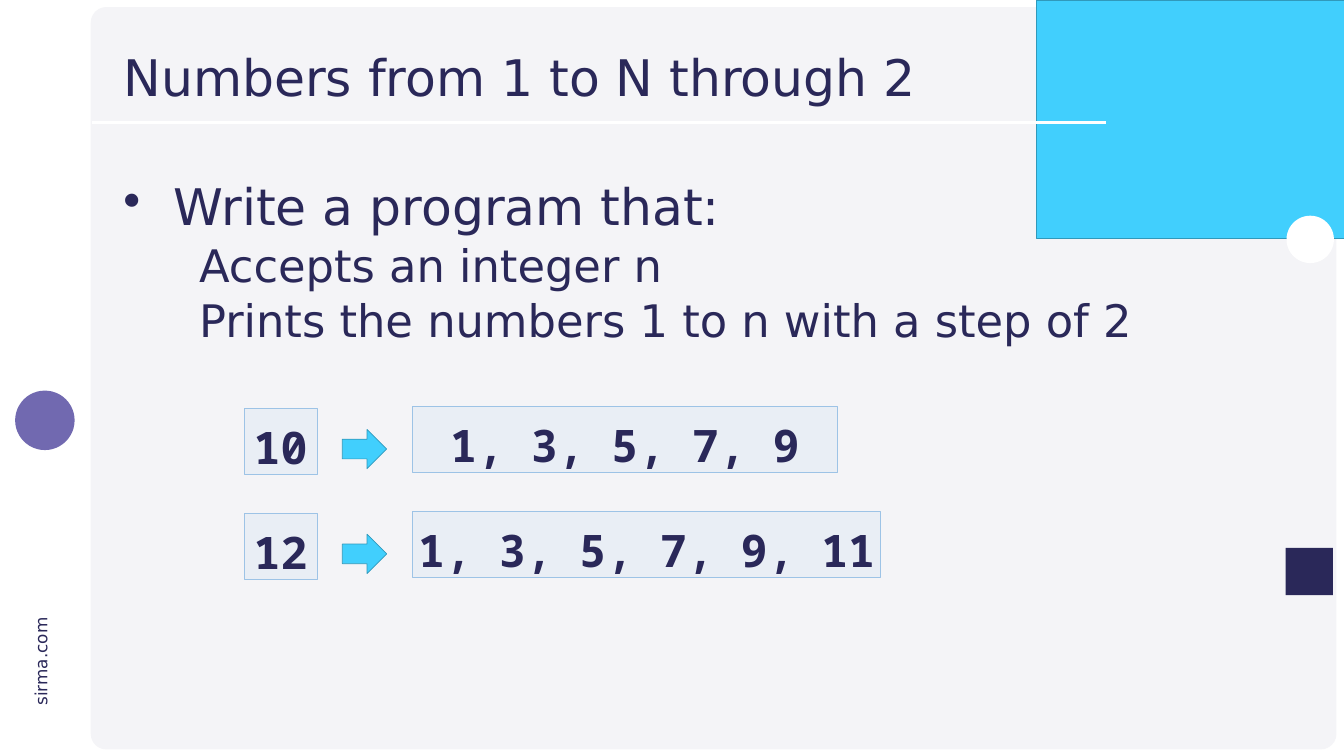
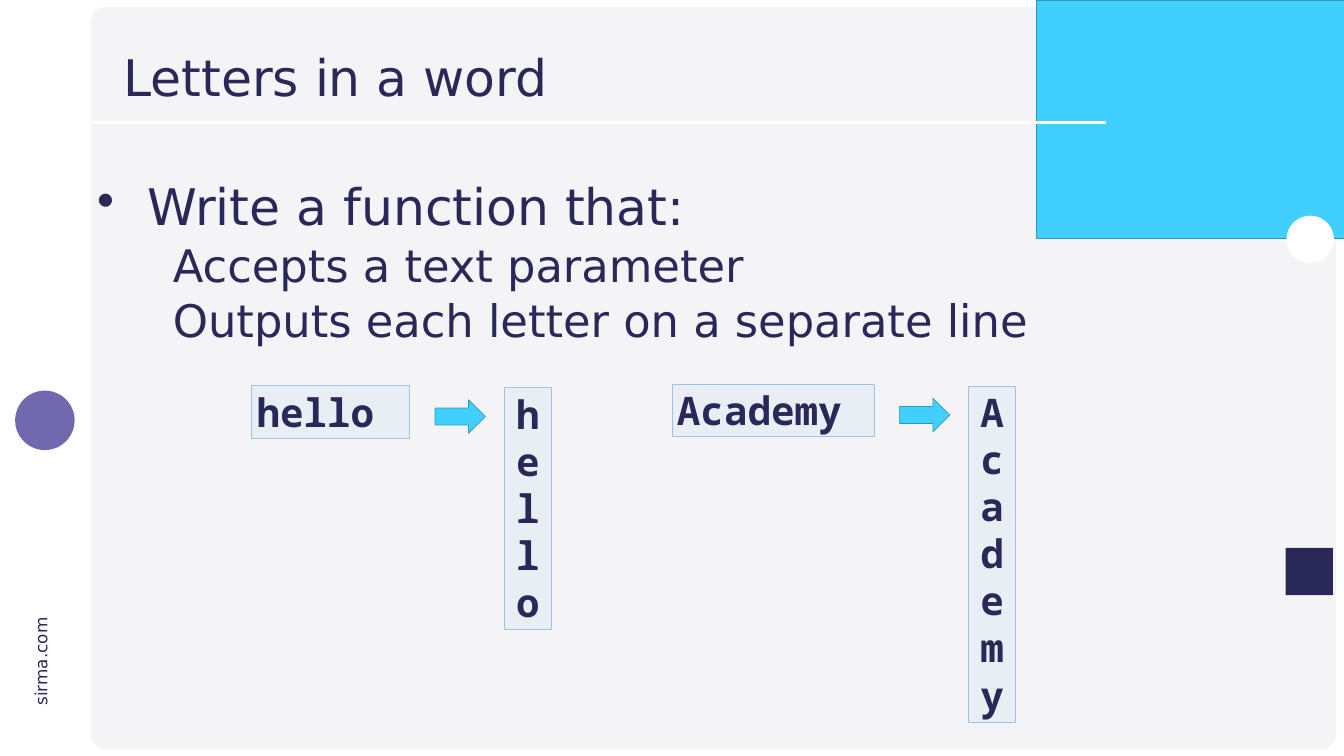
from lxml import etree
from pptx import Presentation
from pptx import util as u
from pptx.dml.color import RGBColor
from pptx.enum import shapes, text
from pptx.oxml import ns

NAVY = RGBColor(0x2A, 0x28, 0x59)
CYAN = RGBColor(0x41, 0xCF, 0xFD)
DARK_CYAN = RGBColor(0x30, 0x99, 0xBB)
PURPLE = RGBColor(0x71, 0x69, 0xB0)
PALE_GREY = RGBColor(0xF4, 0xF4, 0xF7)
WHITE = RGBColor(0xFF, 0xFF, 0xFF)
PALE_BLUE = RGBColor(0xBD, 0xD7, 0xEE)
BORDER_BLUE = RGBColor(0x9D, 0xC3, 0xE6)
SANS = "DejaVu Sans"
MONO = "Noto Sans Mono"
KIND = shapes.MSO_SHAPE


def add_figure(slide, kind, left, top, width, height, fill, line=None):
    """Add a flat preset shape with an optional one-point outline."""
    shape = slide.shapes.add_shape(
        kind, u.Inches(left), u.Inches(top), u.Inches(width), u.Inches(height))
    shape.shadow.inherit = False
    shape.fill.solid()
    shape.fill.fore_color.rgb = fill
    if line is None:
        shape.line.fill.background()
    else:
        shape.line.color.rgb = line
        shape.line.width = u.Pt(1)
    return shape


def format_paragraph(paragraph, size, font=SANS, bold=False):
    """Give the runs of a paragraph their font."""
    for run in paragraph.runs:
        run.font.name = font
        run.font.size = u.Pt(size)
        run.font.bold = bold
        run.font.color.rgb = NAVY


def add_text(slide, content, left, top, width, height, size, wrap=True):
    """Add a text box holding one paragraph for each line of content."""
    box = slide.shapes.add_textbox(
        u.Inches(left), u.Inches(top), u.Inches(width), u.Inches(height))
    box.text_frame.word_wrap = wrap
    box.text_frame.text = content
    for paragraph in box.text_frame.paragraphs:
        format_paragraph(paragraph, size)
    return box


def add_frame(slide, title):
    """Draw the panel, decorations, site address and title of a slide."""
    panel = add_figure(slide, KIND.ROUNDED_RECTANGLE, 1.8, 0.14, 24.71, 14.73, PALE_GREY)
    panel.adjustments[0] = 0.021
    site = add_text(slide, "sirma.com", -0.18, 12.86, 1.97, 0.5, 24, wrap=False)
    site.rotation = 270
    add_figure(slide, KIND.RECTANGLE, 20.56, 0, 6.11, 4.73, CYAN, DARK_CYAN)
    add_figure(slide, KIND.RECTANGLE, 1.83, 0.53, 18.34, 2.38, PALE_GREY)
    rule = slide.shapes.add_connector(
        shapes.MSO_CONNECTOR.STRAIGHT,
        u.Inches(1.83), u.Inches(2.43), u.Inches(21.93), u.Inches(2.43))
    rule.line.color.rgb = WHITE
    rule.line.width = u.Pt(3)
    etree.SubElement(rule._element.spPr, ns.qn("a:effectLst"))
    add_figure(slide, KIND.RECTANGLE, 25.5, 10.87, 0.94, 0.94, NAVY)
    add_figure(slide, KIND.OVAL, 0.3, 7.75, 1.18, 1.18, PURPLE)
    add_figure(slide, KIND.OVAL, 25.52, 4.28, 0.94, 0.94, WHITE)
    heading = add_text(slide, title, 2.35, 0.8, 19.57, 1.58, 72)
    heading.text_frame.vertical_anchor = text.MSO_ANCHOR.MIDDLE
    heading.text_frame.paragraphs[0].line_spacing = 0.9


def add_task(slide, lines, left, width):
    """Add a bulleted lead line followed by its indented steps."""
    box = add_text(slide, "\n".join(lines), left, 3.57, width, 10.32, 72)
    lead, *steps = box.text_frame.paragraphs
    for paragraph in (lead, *steps):
        properties = paragraph._p.get_or_add_pPr()
        properties.set("marL", str(u.Inches(1 if paragraph is lead else 2.5)))
        properties.set("indent", str(u.Inches(-1)))
        paragraph.line_spacing = 0.9
    bullet = etree.SubElement(lead._p.pPr, ns.qn("a:buChar"))
    bullet.set("char", "•")
    for step in steps:
        step.level = 1
        step.space_before = u.Pt(10)
        format_paragraph(step, 64)


def add_code_box(slide, content, left, top, width, height, size,
                 align=text.PP_ALIGN.CENTER, spacing=1.0, inset=0.05):
    """Add a translucent box of bold monospaced text."""
    box = add_figure(slide, KIND.RECTANGLE, left, top, width, height, PALE_BLUE, BORDER_BLUE)
    color = box._element.spPr.find(ns.qn("a:solidFill"))[0]
    etree.SubElement(color, ns.qn("a:alpha")).set("val", "20000")
    frame = box.text_frame
    frame.word_wrap = True
    frame.auto_size = text.MSO_AUTO_SIZE.SHAPE_TO_FIT_TEXT
    frame.vertical_anchor = text.MSO_ANCHOR.TOP
    frame.margin_top = frame.margin_bottom = u.Inches(inset)
    frame.text = content
    for paragraph in frame.paragraphs:
        paragraph.alignment = align
        paragraph.line_spacing = spacing
        format_paragraph(paragraph, size, MONO, bold=True)


def add_arrow(slide, left, top, width, height):
    """Add a right-pointing block arrow."""
    add_figure(slide, KIND.RIGHT_ARROW, left, top, width, height, CYAN, DARK_CYAN)


def add_number_example(slide, number, output, top, output_width):
    """Show a number, an arrow and the printed sequence in a row."""
    add_code_box(slide, number, 4.84, top, 1.45, 1.3, 64, spacing=1.2, inset=0)
    add_arrow(slide, 6.79, top + 0.41, 0.88, 0.78)
    add_code_box(slide, output, 8.18, top - 0.04, output_width, 1.3, 64, spacing=1.2, inset=0)


def add_word_example(slide, word, left, top, width):
    """Show a word, an arrow and its letters stacked one to a line."""
    arrow_left = left + width + 0.5
    add_code_box(slide, word, left, top, width, 1.04, 56, align=text.PP_ALIGN.LEFT)
    add_code_box(slide, "\n".join(word), arrow_left + 1.37, top + 0.04,
                 0.94, 0.1 + 0.94 * len(word), 56)
    add_arrow(slide, arrow_left, top + 0.28, 1, 0.67)


def main():
    """Build both exercise slides and save them."""
    presentation = Presentation()
    presentation.slide_width = u.Inches(26.66)
    presentation.slide_height = u.Inches(15)
    blank = presentation.slide_layouts[6]

    slide = presentation.slides.add_slide(blank)
    add_frame(slide, "Numbers from 1 to N through 2")
    add_task(slide, ["Write a program that:", "Accepts an integer n",
                     "Prints the numbers 1 to n with a step of 2"], 2.35, 22.99)
    add_number_example(slide, "10", "1, 3, 5, 7, 9", 8.11, 8.43)
    add_number_example(slide, "12", "1, 3, 5, 7, 9, 11", 10.19, 9.29)

    slide = presentation.slides.add_slide(blank)
    add_frame(slide, "Letters in a word")
    add_task(slide, ["Write a function that:", "Accepts a text parameter",
                     "Outputs each letter on a separate line"], 1.83, 18.83)
    add_word_example(slide, "Academy", 13.33, 7.62, 4.01)
    add_word_example(slide, "hello", 4.99, 7.65, 3.14)

    presentation.save("out.pptx")


if __name__ == "__main__":
    main()
